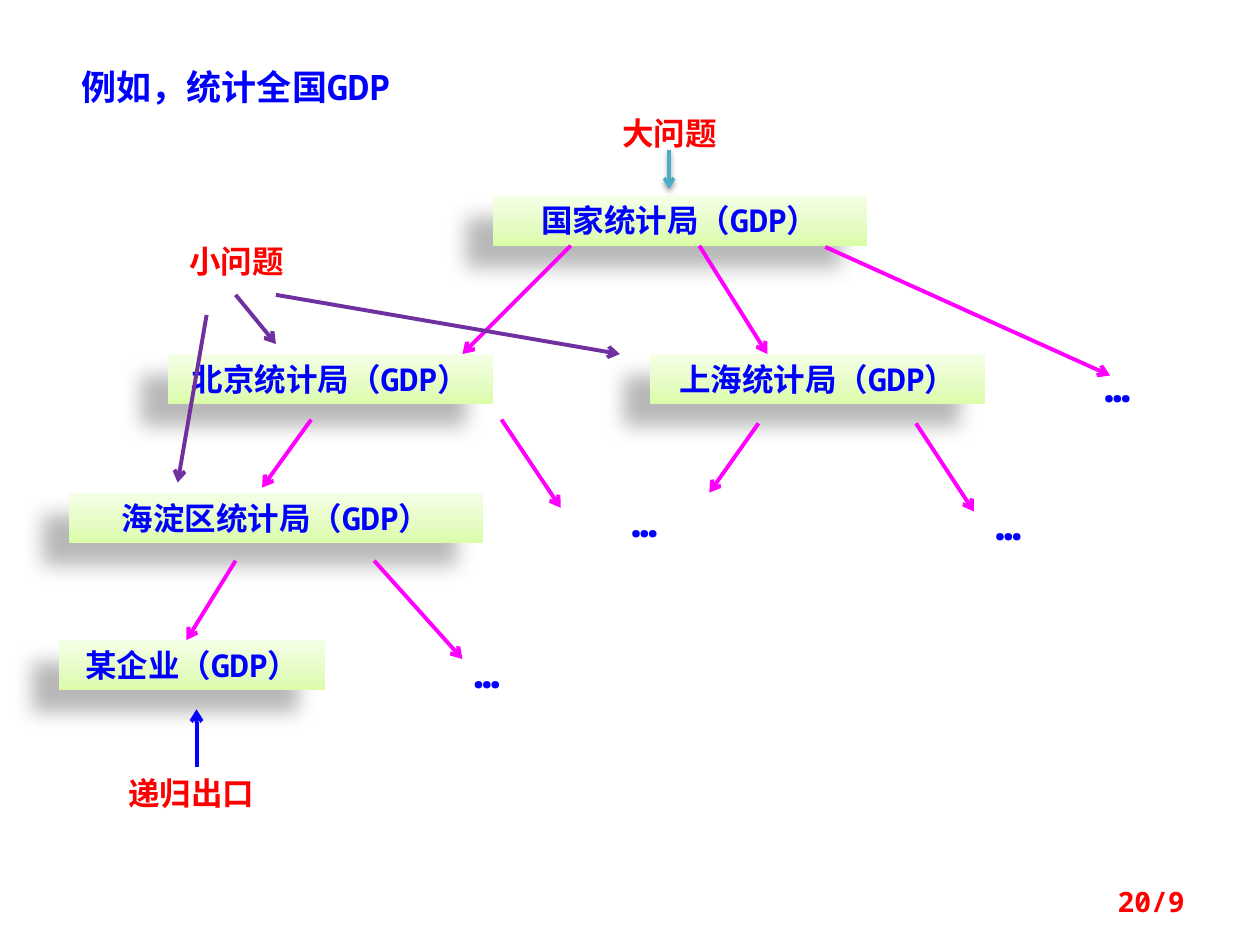
"""Build a slide that shows national GDP counting as a recursive tree."""
import pptx
import pptx.dml.color
import pptx.enum.shapes
import pptx.enum.text
import pptx.oxml
import pptx.oxml.ns
import pptx.util
from pptx.util import Inches

HUES = {"blue": "0000FF", "red": "FF0000", "pink": "FF00FF",
        "purple": "7030A0", "teal": "4BACC6", "black": "000000"}
GREENS = {0: "DAFDA7", 35: "E4FCC2", 100: "F5FFE7"}
MONO, HAN = "Noto Sans Mono", "Noto Sans CJK JP"
ALIGN = pptx.enum.text.PP_ALIGN
ANCHOR = pptx.enum.text.MSO_ANCHOR

OFFICES = [
    ("国家统计局（GDP）", 3.91, 1.55, 2.97),
    ("某企业（GDP）", 0.47, 5.08, 2.11),
    ("海淀区统计局（GDP）", 0.55, 3.91, 3.28),
    ("北京统计局（GDP）", 1.33, 2.81, 2.58),
    ("上海统计局（GDP）", 5.16, 2.81, 2.66),
]
DOTS = [(3.28, 5.08, 1.17), (4.53, 3.88, 1.17),
        (7.42, 3.91, 1.17), (8.44, 2.81, 0.86)]
LABELS = [("递归出口", 0.7, 6.09, 1.64), ("大问题", 4.69, 0.86, 1.25),
          ("小问题", 1.25, 1.87, 1.25)]
ARROWS = {
    "pink": [
        (1.87, 4.45, 1.48, 5.08), (2.97, 4.45, 3.67, 5.23),
        (2.47, 3.33, 2.08, 3.87), (3.98, 3.33, 4.45, 4.03),
        (6.02, 3.36, 5.63, 3.91), (7.27, 3.36, 7.73, 4.06),
        (4.53, 1.95, 3.67, 2.81), (5.55, 1.95, 6.09, 2.81),
        (6.55, 1.96, 8.81, 2.98),
    ],
    "blue": [(1.56, 6.09, 1.56, 5.63)],
    "purple": [(1.87, 2.34, 2.19, 2.73), (2.19, 2.34, 4.92, 2.81),
               (1.64, 2.5, 1.41, 3.83)],
}


def make(tag, inner=""):
    """Return a drawing element with the given tag and inner XML."""
    return pptx.oxml.parse_xml(
        f'<a:{tag} {pptx.oxml.ns.nsdecls("a")}>{inner}</a:{tag}>')


def shade(alpha, blur, dist, angle):
    """Return the XML of an outer shadow."""
    blur, dist = pptx.util.Pt(blur), pptx.util.Pt(dist)
    return (f'<a:outerShdw blurRad="{blur}" dist="{dist}" dir="{angle * 60000}"'
            f' algn="ctr" rotWithShape="0"><a:srgbClr val="{HUES["black"]}">'
            f'<a:alpha val="{alpha * 1000}"/></a:srgbClr></a:outerShdw>')


def write(shape, text, size, hue, font=MONO, align=ALIGN.CENTER,
          anchor=ANCHOR.TOP, grow=True):
    """Put one bold run of text in a shape."""
    frame = shape.text_frame
    frame.word_wrap = True
    frame.vertical_anchor = anchor
    if grow:
        frame.auto_size = pptx.enum.text.MSO_AUTO_SIZE.SHAPE_TO_FIT_TEXT
    line = frame.paragraphs[0]
    line.alignment = align
    run = line.add_run()
    run.text = text
    run.font.name = font
    run.font.size = pptx.util.Pt(size)
    run.font.bold = True
    run.font.color.rgb = pptx.dml.color.RGBColor.from_string(HUES[hue])


def add_text(slide, text, left, top, width, height, size, hue, **style):
    """Add a text box."""
    box = slide.shapes.add_textbox(
        Inches(left), Inches(top), Inches(width), Inches(height))
    write(box, text, size, hue, **style)


def add_box(slide, text, left, top, width):
    """Add a green office box with a soft shadow."""
    box = slide.shapes.add_shape(
        pptx.enum.shapes.MSO_SHAPE.RECTANGLE,
        Inches(left), Inches(top), Inches(width), Inches(0.4))
    box.line.fill.background()
    stops = "".join(
        f'<a:gs pos="{spot * 1000}"><a:srgbClr val="{hue}"/></a:gs>'
        for spot, hue in GREENS.items())
    props = box._element.spPr
    props.find(pptx.oxml.ns.qn("a:prstGeom")).addnext(make(
        "gradFill", f'<a:gsLst>{stops}</a:gsLst><a:lin ang="16200000" scaled="1"/>'))
    props.append(make("effectLst", shade(28, 11.8, 19.7, 141)))
    write(box, text, 18, "blue")


def add_arrow(slide, ends, hue, width=2.25, shadow=""):
    """Add a straight line with an open arrowhead at its end."""
    line = slide.shapes.add_connector(
        pptx.enum.shapes.MSO_CONNECTOR.STRAIGHT, *map(Inches, ends))
    line.line.color.rgb = pptx.dml.color.RGBColor.from_string(HUES[hue])
    line.line.width = pptx.util.Pt(width)
    head = make("tailEnd")
    head.set("type", "arrow")
    line.line._get_or_add_ln().append(head)
    line._element.spPr.append(make("effectLst", shadow))


def main():
    """Build and save the slide."""
    deck = pptx.Presentation()
    deck.slide_width, deck.slide_height = Inches(10), Inches(7.5)
    slide = deck.slides.add_slide(deck.slide_layouts[6])
    add_text(slide, "例如，统计全国GDP", 0.55, 0.47, 3.52, 0.44, 20, "blue",
             align=ALIGN.LEFT)
    for office in OFFICES:
        add_box(slide, *office)
    for spot in DOTS:
        add_text(slide, "…", *spot, 0.5, 24, "blue")
    for label in LABELS:
        add_text(slide, *label, 0.4, 18, "red", font=HAN)
    for hue, group in ARROWS.items():
        for ends in group:
            add_arrow(slide, ends, hue)
    add_arrow(slide, (5.31, 1.19, 5.31, 1.5), "teal", 2, shade(38, 3.1, 1.6, 90))
    add_text(slide, "20/9", 7.17, 6.95, 2.33, 0.4, 16, "red",
             align=ALIGN.RIGHT, anchor=ANCHOR.MIDDLE, grow=False)
    deck.save("out.pptx")


if __name__ == "__main__":
    main()
